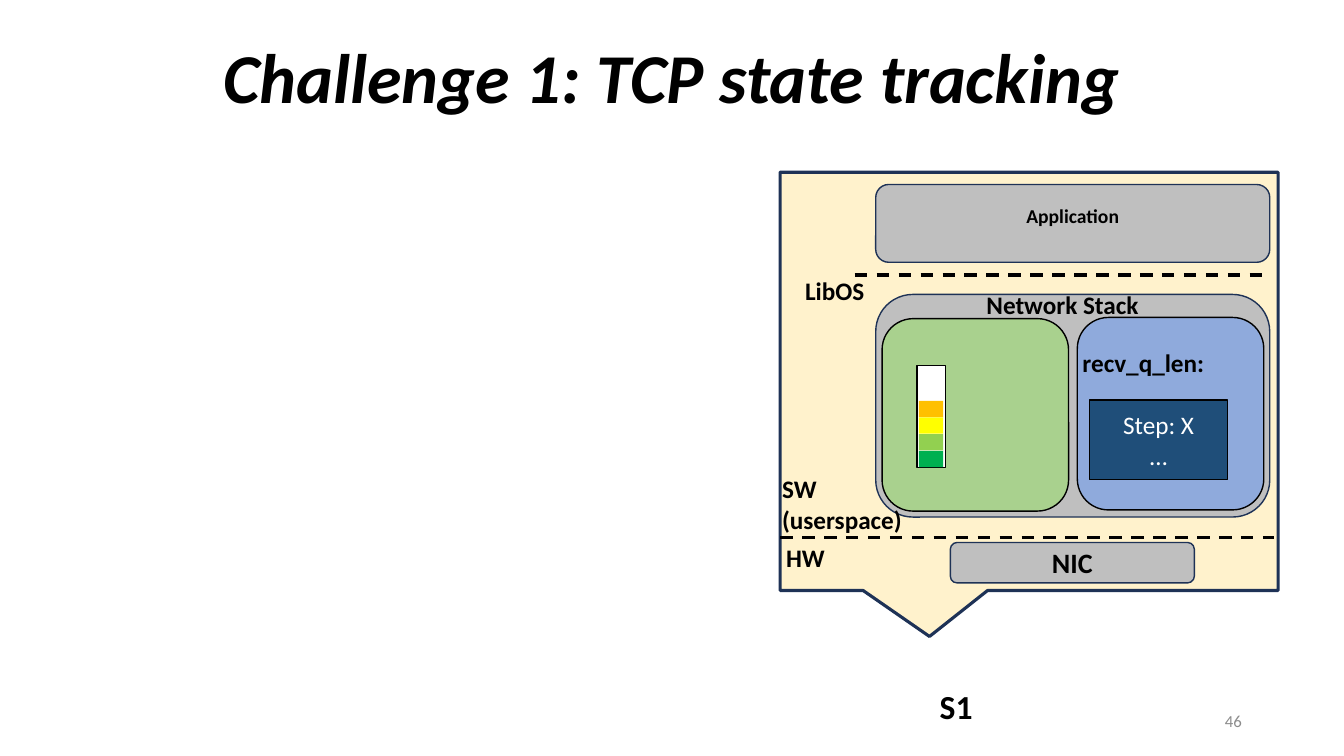
from pptx import Presentation
from pptx.dml.color import RGBColor
from pptx.enum.dml import MSO_LINE
from pptx.enum.shapes import MSO_CONNECTOR, MSO_SHAPE
from pptx.enum.text import MSO_ANCHOR, MSO_AUTO_SIZE, PP_ALIGN
from pptx.oxml.ns import qn
from pptx.util import Cm, Pt
from lxml import etree

RECT, ROUND = MSO_SHAPE.RECTANGLE, MSO_SHAPE.ROUNDED_RECTANGLE
CALLOUT = MSO_SHAPE.RECTANGULAR_CALLOUT
STRAIGHT, DASH = MSO_CONNECTOR.STRAIGHT, MSO_LINE.DASH
LEFT, CENTER, RIGHT = PP_ALIGN.LEFT, PP_ALIGN.CENTER, PP_ALIGN.RIGHT
TOP, MIDDLE = MSO_ANCHOR.TOP, MSO_ANCHOR.MIDDLE
NO_FIT = MSO_AUTO_SIZE.NONE

FONT = "Calibri"
BLACK, WHITE, GREY, NAVY = "000000", "FFFFFF", "BFBFBF", "1E3256"


def rgb(color):
    return RGBColor.from_string(color)


class SlideBuilder:
    def __init__(self, prs):
        self.s = prs.slides.add_slide(prs.slide_layouts[5])

    def set_text(self, sp, text, size, color=BLACK, bold=True, italic=False,
                 align=CENTER, anchor=MIDDLE):
        tf = sp.text_frame
        tf.word_wrap = True
        tf.auto_size = NO_FIT
        tf.vertical_anchor = anchor
        for i, line in enumerate(text.split("\n")):
            p = tf.add_paragraph() if i else tf.paragraphs[0]
            p.text = line
            p.alignment = align
            p.font.name, p.font.size = FONT, Pt(size)
            p.font.bold, p.font.italic = bold, italic
            p.font.color.rgb = rgb(color)

    def title(self, text, x, y, w, h):
        sp = self.s.shapes.title
        sp.left, sp.top, sp.width, sp.height = map(Cm, (x, y, w, h))
        self.set_text(sp, text, 50, italic=True)
        sp.text_frame.paragraphs[0].line_spacing = 0.9

    def box(self, kind, x, y, w, h, fill, line=None, weight=1):
        sp = self.s.shapes.add_shape(kind, Cm(x), Cm(y), Cm(w), Cm(h))
        sp.shadow.inherit = False
        sp.fill.solid()
        sp.fill.fore_color.rgb = rgb(fill)
        if line:
            sp.line.color.rgb = rgb(line)
            sp.line.width = Pt(weight)
        else:
            sp.line.fill.background()
        return sp

    def label(self, text, x, y, w=5.46, h=1.02, size=18, align=LEFT,
              anchor=TOP, **style):
        sp = self.s.shapes.add_textbox(Cm(x), Cm(y), Cm(w), Cm(h))
        self.set_text(sp, text, size, align=align, anchor=anchor, **style)

    def divider(self, x1, x2, y):
        c = self.s.shapes.add_connector(STRAIGHT, Cm(x1), Cm(y), Cm(x2), Cm(y))
        c.line.color.rgb = rgb(BLACK)
        c.line.width = Pt(2.25)
        c.line.dash_style = DASH
        etree.SubElement(c._element.spPr, qn("a:effectLst"))


def main():
    prs = Presentation()
    prs.slide_width, prs.slide_height = Cm(33.87), Cm(19.05)
    b = SlideBuilder(prs)
    b.title("Challenge 1: TCP state tracking", 0, 0.2, 33.87, 3.68)

    # Server callout
    b.label("S1", 22.43, 17.15, 3.33, 1.27, size=24, align=CENTER)
    server = b.box(CALLOUT, 19.66, 4.34, 12.55, 10.54, "FFF2CC", NAVY, 2.25)
    server.adjustments[0], server.adjustments[1] = -0.2, 0.61

    # Layers of the server
    app = b.box(ROUND, 22.07, 4.65, 9.93, 1.96, GREY, NAVY)
    b.set_text(app, "Application", 14)
    app.text_frame.margin_bottom = Cm(0.51)
    b.divider(21.54, 31.88, 6.93)
    b.box(ROUND, 22.07, 7.42, 9.93, 5.61, GREY, NAVY)
    nic = b.box(ROUND, 23.95, 13.67, 6.15, 1.02, GREY, NAVY)
    b.set_text(nic, "NIC", 20)
    b.box(ROUND, 22.23, 8.03, 4.7, 4.85, "A9D18E", BLACK)
    b.box(ROUND, 27.15, 8, 4.7, 4.85, "8FAADC", BLACK)
    b.divider(19.66, 32.11, 13.54)

    # Layer names
    b.label("LibOS", 20.04, 6.81)
    b.label("SW\n(userspace)", 19.46, 11.81, h=1.8)
    b.label("HW", 19.56, 13.54)
    b.label("Network Stack", 24.61, 7.16)

    # Tracked state
    b.label("recv_q_len:", 27.03, 8.64)
    step = b.box(RECT, 27.46, 10.08, 3.48, 2.01, "1F4E79", BLACK)
    b.set_text(step, "Step: X\n…", 18, WHITE, bold=False)

    # Receive queue, filled from the bottom
    b.box(RECT, 23.11, 9.22, 0.71, 2.57, WHITE, BLACK, 0.75)
    for i, color in enumerate(("00B050", "92D050", "FFFF00", "FFC000")):
        b.box(RECT, 23.16, 11.36 - 0.42 * i, 0.61, 0.41, color)

    # Slide number
    b.label("46", 23.93, 17.65, 7.62, size=12, align=RIGHT, anchor=MIDDLE,
            color="8C8C8C", bold=False)

    prs.save("out.pptx")


if __name__ == "__main__":
    main()
